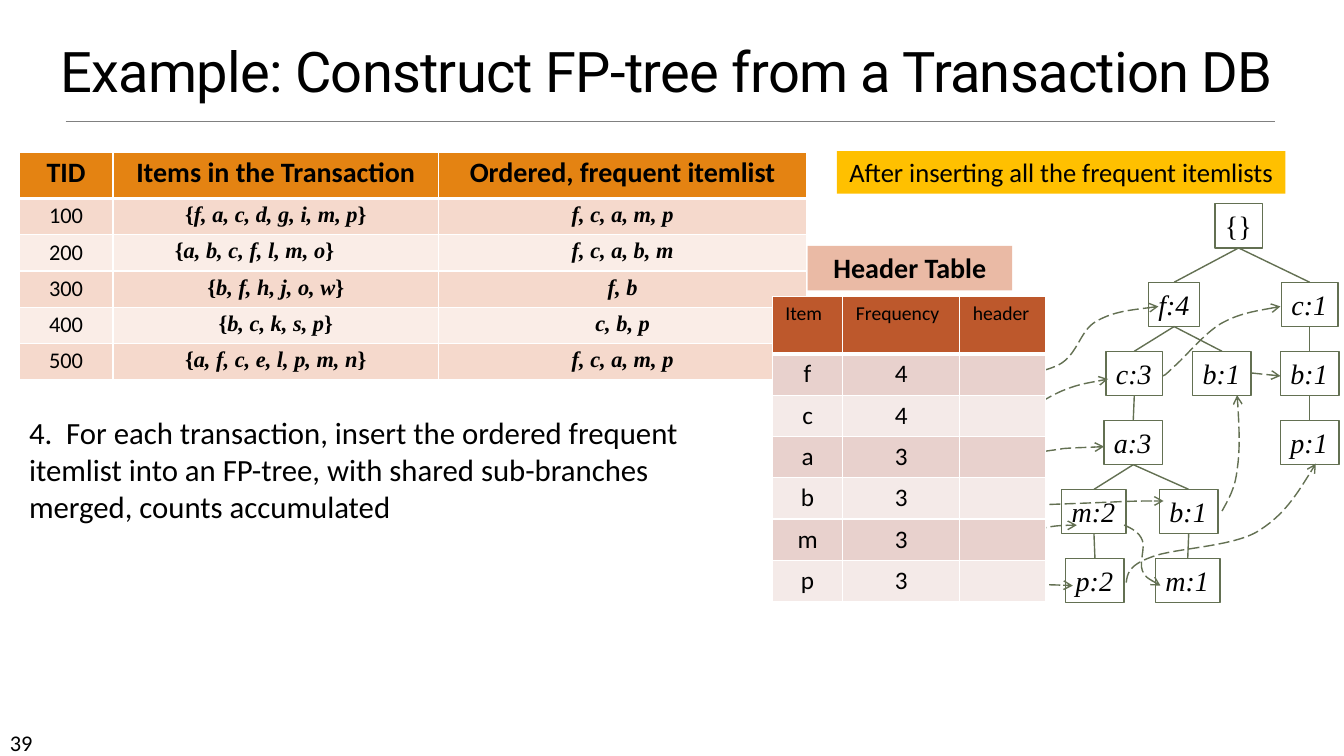
from lxml import etree
from pptx import Presentation
from pptx.dml.color import RGBColor
from pptx.enum.dml import MSO_LINE
from pptx.enum.shapes import MSO_CONNECTOR, MSO_SHAPE
from pptx.enum.text import MSO_ANCHOR, PP_ALIGN
from pptx.oxml.ns import qn
from pptx.util import Inches, Pt

LEFT, MID = PP_ALIGN.LEFT, PP_ALIGN.CENTER
TOP, LOW = MSO_ANCHOR.TOP, MSO_ANCHOR.BOTTOM
RECT, LINE, DASH = MSO_SHAPE.RECTANGLE, MSO_CONNECTOR.STRAIGHT, MSO_LINE.LONG_DASH
SANS, SERIF, HEAD = "Calibri", "Times New Roman", "Roboto"
HUES = {
    "ink": "000000", "white": "FFFFFF", "rule": "808080", "tree": "637052",
    "gold": "FFC000", "peach": "EABAA5", "orange": "E48312", "rust": "BD582C",
    "pink": "F5D9CC", "pale": "FAEDE7", "rose": "E8D1CD", "blush": "F4EAE8",
}
TITLE = "Example: Construct FP-tree from a Transaction DB"
STEP = ("4.  For each transaction, insert the ordered frequent itemlist into "
        "an FP-tree, with shared sub-branches merged, counts accumulated")
ORDERS = [
    ("TID", "Items in the Transaction", "Ordered, frequent itemlist"),
    ("100", "{f, a, c, d, g, i, m, p}", "f, c, a, m, p"),
    ("200", "{a, b, c, f, l, m, o}\t", "f, c, a, b, m"),
    ("300", "{b, f, h, j, o, w}", "f, b"),
    ("400", "{b, c, k, s, p}", "c, b, p"),
    ("500", "{a, f, c, e, l, p, m, n}", "f, c, a, m, p"),
]
COUNTS = [
    ("Item", "Frequency", "header"),
    ("f", "4", ""), ("c", "4", ""), ("a", "3", ""),
    ("b", "3", ""), ("m", "3", ""), ("p", "3", ""),
]
NODES = {
    "root": ("{}", 12.05, 0, 0.47),
    "f": ("f:4", 11.39, 1, 0.51), "c right": ("c:1", 12.71, 1, 0.56),
    "c": ("c:3", 10.97, 2, 0.56), "b mid": ("b:1", 11.83, 2, 0.58),
    "b right": ("b:1", 12.7, 2, 0.58),
    "a": ("a:3", 10.95, 3, 0.58), "p right": ("p:1", 12.7, 3, 0.58),
    "m": ("m:2", 10.53, 4, 0.64), "b": ("b:1", 11.5, 4, 0.58),
    "p": ("p:2", 10.57, 5, 0.58), "m right": ("m:1", 11.46, 5, 0.64),
}
EDGES = [
    ("root", "f"), ("root", "c right"), ("c right", "b right"),
    ("b right", "p right"), ("f", "c"), ("f", "b mid"), ("c", "a"),
    ("a", "m"), ("a", "b"), ("m", "p"), ("b", "m right"),
]
CURVES = [
    [(9.76, 3.76), (10.04, 3.74), (10.31, 3.71), (10.5, 3.62),
     (10.69, 3.52), (10.71, 3.28), (10.87, 3.19), (11.04, 3.09), (11.27, 3.07), (11.49, 3.04)],
    [(11.53, 3.73), (11.54, 3.73), (11.55, 3.73), (11.64, 3.64),
     (11.74, 3.56), (11.94, 3.31), (12.11, 3.21), (12.29, 3.11), (12.49, 3.08), (12.7, 3.04)],
    [(9.76, 4.52), (9.89, 4.51), (10.02, 4.51), (10.15, 4.5),
     (10.28, 4.49), (10.42, 4.47), (10.55, 4.45), (10.68, 4.44), (10.81, 4.44), (10.95, 4.43)],
    [(9.65, 5.02), (9.85, 5.02), (10.05, 5.02), (10.28, 5.01),
     (10.51, 5), (10.82, 4.99), (11.04, 4.98), (11.25, 4.97), (11.39, 4.97), (11.54, 4.97)],
    [(12.12, 5.07), (12.18, 4.96), (12.25, 4.85), (12.27, 4.66),
     (12.3, 4.47), (12.29, 4.19), (12.27, 3.92)],
    [(9.69, 5.37), (9.88, 5.36), (10.07, 5.36), (10.18, 5.33),
     (10.29, 5.31), (10.26, 5.26), (10.35, 5.24), (10.43, 5.22), (10.55, 5.21), (10.68, 5.21)],
    [(11.15, 5.21), (11.22, 5.24), (11.3, 5.28), (11.33, 5.36),
     (11.36, 5.43), (11.3, 5.58), (11.33, 5.66), (11.36, 5.73), (11.44, 5.77), (11.51, 5.81)],
    [(9.65, 5.76), (9.77, 5.76), (9.89, 5.77), (9.98, 5.77),
     (10.06, 5.78), (10.03, 5.79), (10.14, 5.79), (10.25, 5.8), (10.44, 5.8), (10.64, 5.81)],
    [(11.17, 5.78), (11.18, 5.7), (11.19, 5.61), (11.41, 5.53),
     (11.62, 5.44), (12.19, 5.43), (12.46, 5.28), (12.73, 5.12), (12.89, 4.86), (13.05, 4.6)],
    [(9.76, 4.17), (9.89, 4.14), (10.03, 4.12), (10.17, 4.07),
     (10.3, 4.01), (10.44, 3.91), (10.58, 3.86), (10.71, 3.81), (10.85, 3.79), (10.99, 3.76)],
]

deck = Presentation()
deck.slide_width, deck.slide_height = Inches(13.33), Inches(7.5)
slide = deck.slides.add_slide(deck.slide_layouts[5])
shapes = slide.shapes


def hue(name):
    return RGBColor.from_string(HUES[name])


def write(frame, text, size=16, font=SANS, bold=False, slant=False,
          align=LEFT, anchor=TOP, wrap=True, pad=(0.1, 0.05), lead=None, track=None):
    frame.word_wrap = wrap
    frame.vertical_anchor = anchor
    frame.margin_left = frame.margin_right = Inches(pad[0])
    frame.margin_top = frame.margin_bottom = Inches(pad[1])
    para = frame.paragraphs[0]
    para.alignment, para.line_spacing = align, lead
    body, brace, tail = text.partition("}")
    parts = [("{", False), (body[1:], slant), (brace + tail, False)] if brace else [(text, slant)]
    for words, tilt in parts:
        if not words:
            continue
        run = para.add_run()
        run.text = words
        run.font.name, run.font.size = font, Pt(size)
        run.font.bold, run.font.italic = bold, tilt
        run.font.color.rgb = hue("ink")
        if track:
            run.font._element.set("spc", str(track))


def label(text, at, **look):
    write(shapes.add_textbox(*map(Inches, at)).text_frame, text, **look)


def box(text, at, fill=None, line=None, **look):
    rect = shapes.add_shape(RECT, *map(Inches, at))
    rect.shadow.inherit = False
    rect.fill.background()
    rect.line.fill.background()
    if fill:
        rect.fill.solid()
        rect.fill.fore_color.rgb = hue(fill)
    if line:
        rect.line.color.rgb, rect.line.width = hue(line), Pt(1)
    write(rect.text_frame, text, **look)


def link(start, end, color="tree", width=1):
    wire = shapes.add_connector(LINE, *map(Inches, start + end))
    wire.line.color.rgb, wire.line.width = hue(color), Pt(width)
    etree.SubElement(wire._element.spPr, qn("a:effectLst"))
    return wire


def point(item):
    item.line.dash_style = DASH
    etree.SubElement(item.line._get_or_add_ln(), qn("a:tailEnd"), type="arrow")


def bend(dots):
    first, *rest = [(Inches(x), Inches(y)) for x, y in dots]
    pen = shapes.build_freeform(*first, scale=1.0)
    pen.add_line_segments(rest, close=False)
    curve = pen.convert_to_shape()
    curve.shadow.inherit = False
    curve.fill.background()
    curve.line.color.rgb, curve.line.width = hue("tree"), Pt(1)
    legs = curve._element.xpath(".//a:lnTo")
    for i in range(0, len(legs), 3):
        arc = etree.Element(qn("a:cubicBezTo"))
        legs[i].addprevious(arc)
        for leg in legs[i:i + 3]:
            arc.append(leg[0])
            leg.getparent().remove(leg)
    point(curve)


def grid(rows, at, cols, tall, fills, looks, top):
    high = [tall[0]] + [tall[1]] * (len(rows) - 1)
    size = (sum(cols), sum(high))
    table = shapes.add_table(len(rows), len(cols), *map(Inches, at + size)).table
    for col, wide in zip(table.columns, cols):
        col.width = Inches(wide)
    for r, row in enumerate(rows):
        table.rows[r].height = Inches(high[r])
        for c, text in enumerate(row):
            cell = table.cell(r, c)
            props = cell._tc.get_or_add_tcPr()
            for side in "LRTB":
                thick = 3 if (r, side) in ((0, "B"), (1, "T")) else 1
                edge = etree.SubElement(props, qn("a:ln" + side), w=str(Pt(thick)))
                solid = etree.SubElement(edge, qn("a:solidFill"))
                etree.SubElement(solid, qn("a:srgbClr"), val=HUES["white"])
            cell.fill.solid()
            cell.fill.fore_color.rgb = hue(fills[0] if r == 0 else fills[2 - r % 2])
            cell.margin_left = cell.margin_right = Inches(0.13)
            cell.margin_top = cell.margin_bottom = Inches(top)
            write(cell.text_frame, text, pad=(0.13, top), **(looks[c] if r else looks[-1]))


def place(name):
    text, x, row, wide = NODES[name]
    return x, 2.8 + 0.685 * (row - 1) if row else 2.02, wide, 0.44


title = shapes.title
title.left, title.top, title.width, title.height = map(Inches, (0.22, 0.33, 12.78, 0.75))
write(title.text_frame, TITLE, size=40, font=HEAD, align=MID, anchor=LOW, lead=0.85, track=-50)
link((0.65, 1.2), (12.65, 1.2), "rule", 0.5)
label("39", (0, 7.18, 1.17, 0.3))
label(STEP, (0.19, 4.06, 6.64, 1.21), size=22)
box("After inserting all the frequent itemlists", (8.3, 1.5, 4.45, 0.42),
    fill="gold", size=19, align=MID)

for name, node in NODES.items():
    box(node[0], place(name), line="tree", size=20, font=SERIF, slant=True, wrap=False)
for above, below in EDGES:
    x, y, wide, high = place(above)
    left, top, span, _ = place(below)
    link((x + wide / 2, y + high), (left + span / 2, top))
for dots in CURVES:
    bend(dots)
point(link((12.41, 3.7), (12.7, 3.73)))

plain = {"size": 16, "align": MID}
items = {"size": 16, "font": SERIF, "bold": True, "slant": True, "align": MID}
strong = {"size": 20, "bold": True, "align": MID}
grid(ORDERS, (0.19, 1.51), (0.93, 3.23, 3.65), (0.46, 0.36),
     ("orange", "pink", "pale"), (plain, items, items, strong), 0.04)
box("Header Table", (8.01, 2.44, 2.03, 0.44), fill="peach", **strong)
count = {"size": 18, "align": MID}
grid(COUNTS, (7.66, 2.94), (0.7, 1.16, 0.85), (0.57, 0.41),
     ("rust", "rose", "blush"), (count, count, count, {"size": 14}), 0.05)

deck.save("out.pptx")
